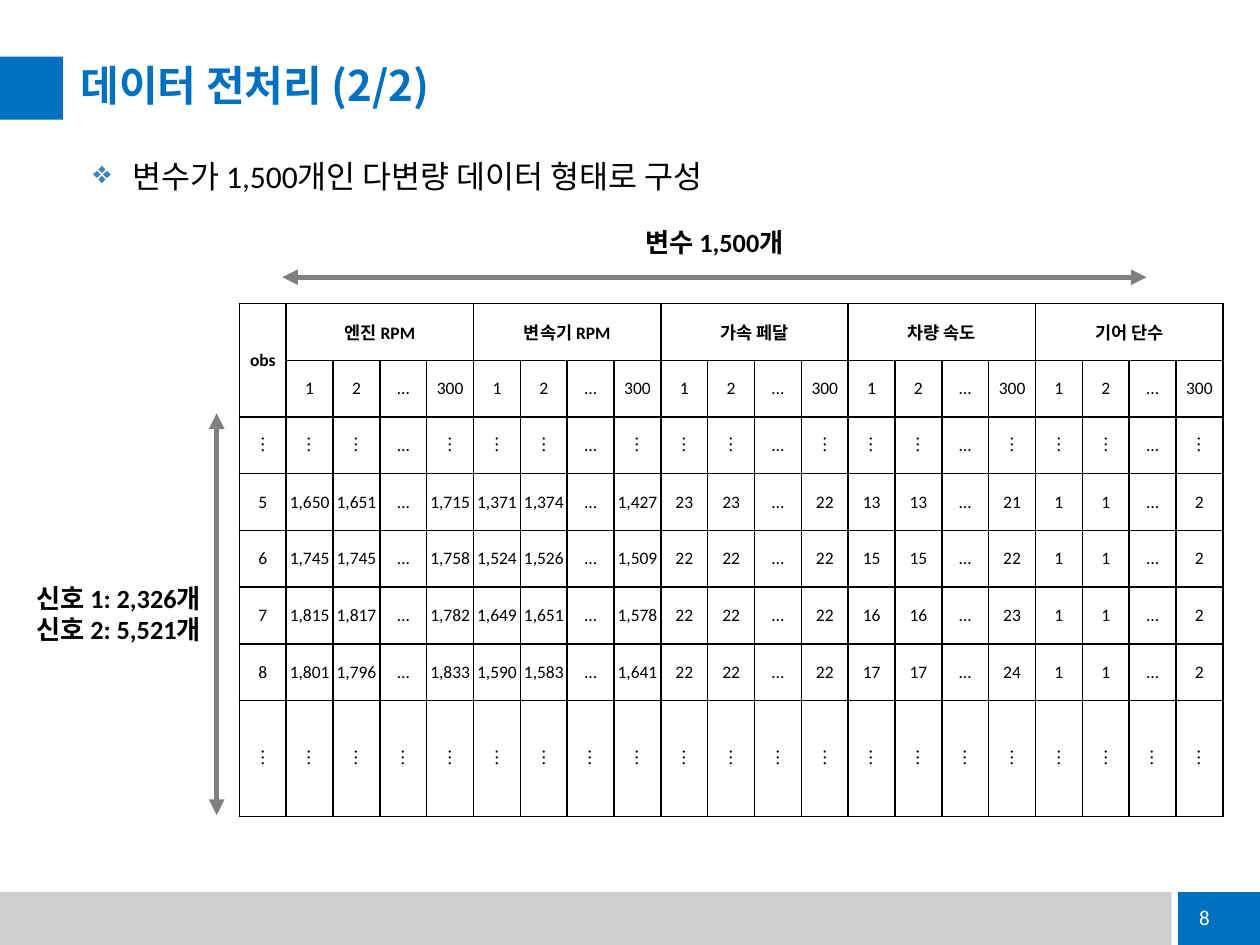
from lxml.etree import SubElement
from pptx import Presentation
from pptx.dml.color import RGBColor
from pptx.enum.shapes import MSO_CONNECTOR as Connector, MSO_SHAPE as Shape
from pptx.enum.text import MSO_ANCHOR as Anchor, PP_ALIGN as Align
from pptx.oxml.ns import qn
from pptx.util import Inches, Pt

BLUE = RGBColor(0x00, 0x70, 0xC0)
BULLET_BLUE = RGBColor(0x42, 0x82, 0xBB)
LIGHT_GRAY = RGBColor(0xCF, 0xCF, 0xCF)
GRAY = RGBColor(0x80, 0x80, 0x80)
BLACK = RGBColor(0, 0, 0)
WHITE = RGBColor(0xFF, 0xFF, 0xFF)

VARIABLES = ["엔진 RPM", "변속기 RPM", "가속 페달", "차량 속도", "기어 단수"]
SAMPLES = ["1", "2", "…", "300"]
OBSERVATIONS = {
    "5": "1,650 1,651 … 1,715 1,371 1,374 … 1,427 23 23 … 22 13 13 … 21 1 1 … 2",
    "6": "1,745 1,745 … 1,758 1,524 1,526 … 1,509 22 22 … 22 15 15 … 22 1 1 … 2",
    "7": "1,815 1,817 … 1,782 1,649 1,651 … 1,578 22 22 … 22 16 16 … 23 1 1 … 2",
    "8": "1,801 1,796 … 1,833 1,590 1,583 … 1,641 22 22 … 22 17 17 … 24 1 1 … 2",
}


class SlideBuilder:
    latin = "Calibri"
    korean = "Noto Sans CJK KR"

    def __init__(self, slide):
        self.slide = slide

    def format_text(self, frame, size, color=BLACK, bold=False, align=Align.LEFT, latin=None):
        for paragraph in frame.paragraphs:
            paragraph.alignment = align
            for run in paragraph.runs:
                font = run.font
                font.name = latin or self.latin
                font.size = Pt(size)
                font.bold = bold
                font.color.rgb = color
                SubElement(run._r.get_or_add_rPr(), qn("a:ea"), typeface=self.korean)

    def clear_margins(self, frame):
        frame.margin_left = frame.margin_top = frame.margin_right = frame.margin_bottom = 0

    def band(self, left, top, width, height, color):
        band = self.slide.shapes.add_shape(
            Shape.RECTANGLE, Inches(left), Inches(top), Inches(width), Inches(height))
        band.shadow.inherit = False
        band.fill.solid()
        band.fill.fore_color.rgb = color
        band.line.fill.background()

    def title(self, text, left, top, width, height):
        title = self.slide.shapes.title
        title.left, title.top = Inches(left), Inches(top)
        title.width, title.height = Inches(width), Inches(height)
        frame = title.text_frame
        frame.text = text
        frame.vertical_anchor = Anchor.MIDDLE
        self.clear_margins(frame)
        frame.paragraphs[0].line_spacing = 0.9
        self.format_text(frame, 24, BLUE, True, latin=self.korean)

    def text(self, text, left, top, width, height, size, **style):
        box = self.slide.shapes.add_textbox(
            Inches(left), Inches(top), Inches(width), Inches(height))
        frame = box.text_frame
        frame.word_wrap = True
        frame.text = text
        self.format_text(frame, size, **style)
        return frame

    def bullet(self, text, left, top, width, height, size):
        paragraph = self.text(text, left, top, width, height, size).paragraphs[0]
        paragraph.line_spacing = 1.5
        properties = paragraph._p.get_or_add_pPr()
        indent = Inches(0.31)
        properties.set("marL", str(indent))
        properties.set("indent", str(-indent))
        bullet_color = SubElement(properties, qn("a:buClr"))
        SubElement(bullet_color, qn("a:srgbClr"), val=str(BULLET_BLUE))
        SubElement(properties, qn("a:buChar"), char="❖")

    def double_arrow(self, start, end):
        arrow = self.slide.shapes.add_connector(
            Connector.STRAIGHT, *map(Inches, start + end))
        arrow.line.color.rgb = GRAY
        arrow.line.width = Pt(3)
        line = arrow.line._get_or_add_ln()
        for tip in ("a:headEnd", "a:tailEnd"):
            SubElement(line, qn(tip), type="triangle")
        SubElement(arrow._element.spPr, qn("a:effectLst"))

    def border(self, cell):
        properties = cell._tc.get_or_add_tcPr()
        for position, side in enumerate(("a:lnL", "a:lnR", "a:lnT", "a:lnB")):
            line = SubElement(properties, qn(side), w=str(Pt(1)))
            fill = SubElement(line, qn("a:solidFill"))
            SubElement(fill, qn("a:srgbClr"), val=str(BLACK))
            properties.insert(position, line)

    def table(self, rows, left, top, width, row_heights, merges):
        columns = len(rows[0])
        table = self.slide.shapes.add_table(
            len(rows), columns, Inches(left), Inches(top),
            Inches(width), Inches(sum(row_heights))).table
        table.first_row = table.horz_banding = False
        for column in table.columns:
            column.width = Inches(width / columns)
        for row, height in zip(table.rows, row_heights):
            row.height = Inches(height)
        for row_index, values in enumerate(rows):
            for column_index, value in enumerate(values):
                cell = table.cell(row_index, column_index)
                cell.fill.background()
                self.clear_margins(cell)
                cell.vertical_anchor = Anchor.MIDDLE
                cell.text_frame.text = value
                self.format_text(cell.text_frame, 10, bold=row_index == 0, align=Align.CENTER)
                self.border(cell)
        for first, last in merges:
            table.cell(*first).merge(table.cell(*last))


def main():
    presentation = Presentation()
    presentation.slide_width, presentation.slide_height = Inches(10), Inches(7.5)
    builder = SlideBuilder(presentation.slides.add_slide(presentation.slide_layouts[5]))

    builder.band(0, 7.08, 9.3, 0.42, LIGHT_GRAY)
    builder.band(9.35, 7.08, 0.65, 0.42, BLUE)
    builder.band(0, 0.45, 0.5, 0.5, BLUE)
    builder.title("데이터 전처리 (2/2)", 0.64, 0.51, 8.72, 0.38)

    group = len(SAMPLES)
    variable_row = ["obs"]
    for variable in VARIABLES:
        variable_row += [variable] + [""] * (group - 1)
    rows = [
        variable_row,
        [""] + SAMPLES * len(VARIABLES),
        ["︙"] + ["︙", "︙", "…", "︙"] * len(VARIABLES),
        *([observation] + values.split() for observation, values in OBSERVATIONS.items()),
        ["︙"] * len(variable_row),
    ]
    merges = [((0, 0), (1, 0))]
    merges += [((0, start), (0, start + group - 1))
               for start in range(1, len(variable_row), group)]
    builder.table(rows, 1.9, 2.41, 7.81, [0.45] * 7 + [0.92], merges)

    builder.double_arrow((2.24, 2.2), (9.1, 2.2))
    builder.double_arrow((1.72, 3.28), (1.72, 6.47))
    builder.text("변수 1,500개", 3.74, 1.75, 3.86, 0.37, 15, bold=True, align=Align.CENTER)
    signal_counts = builder.text("신호 1: 2,326개\n신호 2: 5,521개", 0.25, 4.62, 1.38, 0.52, 15,
                                 bold=True, align=Align.CENTER)
    builder.clear_margins(signal_counts)
    builder.bullet("변수가 1,500개인 다변량 데이터 형태로 구성", 0.64, 1.05, 8.48, 0.56, 18)
    page_number = builder.text("8", 7.45, 7.08, 2.25, 0.4, 12, color=WHITE, align=Align.RIGHT)
    page_number.vertical_anchor = Anchor.MIDDLE

    presentation.save("out.pptx")


if __name__ == "__main__":
    main()
